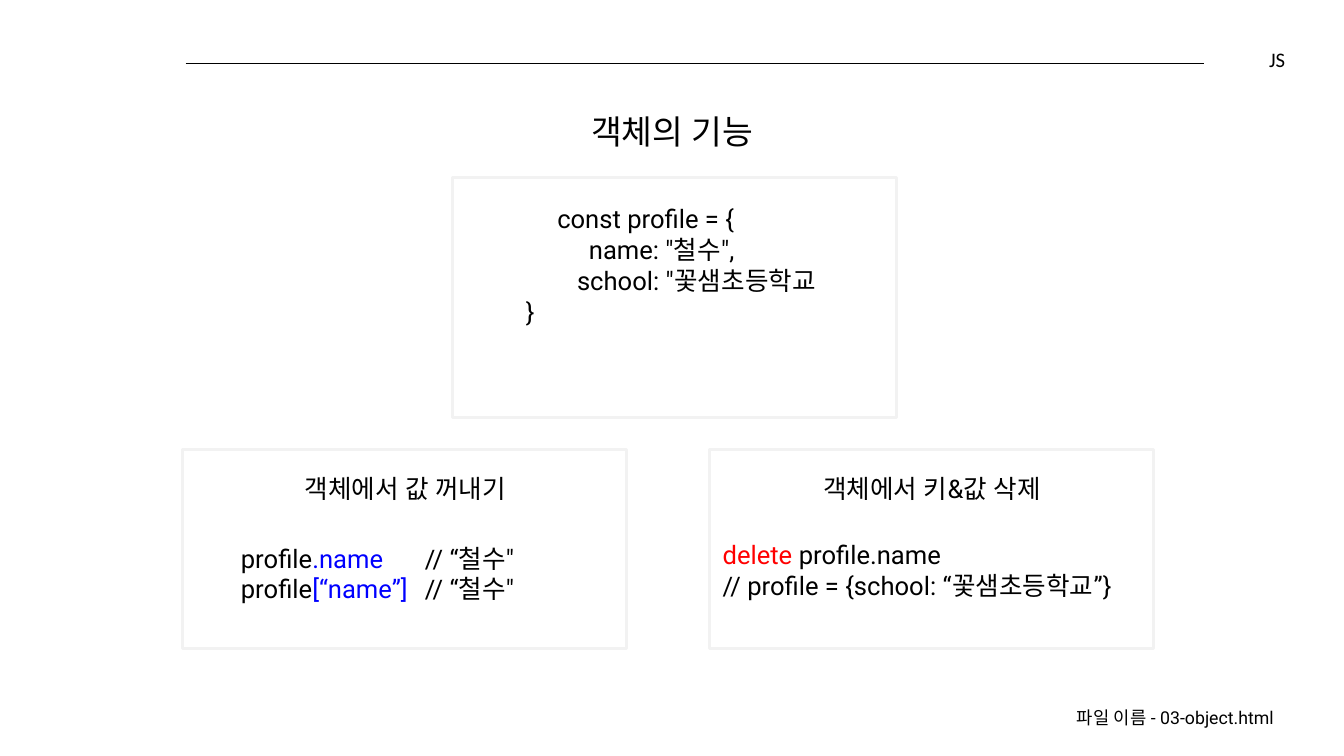
"""Builds the slide on what JavaScript objects can do."""
from dataclasses import dataclass

from lxml import etree
from pptx import Presentation
from pptx import util as u
from pptx.dml.color import RGBColor
from pptx.enum import shapes, text
from pptx.oxml import ns

BLACK = RGBColor(0x00, 0x00, 0x00)
BLUE = RGBColor(0x00, 0x00, 0xFF)
RED = RGBColor(0xFF, 0x00, 0x00)
PALE_GRAY = RGBColor(0xF2, 0xF2, 0xF2)
LEFT, CENTER, RIGHT = text.PP_ALIGN.LEFT, text.PP_ALIGN.CENTER, text.PP_ALIGN.RIGHT
INSET = 13.7


@dataclass(frozen=True)
class Phrase:
    wording: str
    color: RGBColor = BLACK


@dataclass(frozen=True)
class Line:
    phrases: tuple[Phrase, ...]
    align: text.PP_ALIGN = LEFT
    indent: float = 0
    tab: float = 0


@dataclass(frozen=True)
class Block:
    left: float
    top: float
    width: float
    height: float
    lines: tuple[Line, ...]
    size: float = 26


@dataclass(frozen=True)
class Frame:
    left: float
    top: float
    height: float
    width: float = 451.4


def plain(wording: str, align: text.PP_ALIGN = LEFT, indent: float = 0) -> Line:
    return Line((Phrase(wording),), align, indent)


def lookup(accessor: str) -> Line:
    return Line((Phrase("profile"), Phrase(accessor, BLUE), Phrase('\t// “철수"')), tab=187)


def panel_heading(left: float, wording: str) -> Block:
    return Block(left, 466.6, 296, 60.5, (plain(wording, CENTER),))


FRAMES = (
    Frame(459.4, 180, 244),
    Frame(185.8, 457.2, 202.3),
    Frame(720.7, 457.2, 202.3),
)

BLOCKS = (
    Block(997.2, 707, 311, 50.4, (plain("파일 이름 - 03-object.html", RIGHT),), 18),
    Block(271.4, 99.4, 823, 70.6, (plain("객체의 기능", CENTER),), 34),
    Block(244.8, 193, 823, 154.8, (
        plain("const profile = {", CENTER),
        plain('     name: "철수",', CENTER),
        plain('                school: "꽃샘초등학교', CENTER),
        plain("}", indent=276),
    )),
    panel_heading(264.2, "객체에서 값 꺼내기"),
    Block(231.1, 537.8, 361.4, 123.8, (lookup(".name"), lookup("[“name”]"))),
    panel_heading(799.2, "객체에서 키&값 삭제"),
    Block(720.7, 534.2, 463.7, 122.4, (
        Line((Phrase("delete ", RED), Phrase("profile.name"))),
        plain("// profile = {school: “꽃샘초등학교”}"),
    )),
)


def write_line(paragraph, line: Line, size: float) -> None:
    paragraph.alignment = line.align
    properties = paragraph._p.get_or_add_pPr()
    if line.indent:
        properties.set("marL", str(u.Pt(line.indent)))
    if line.tab:
        stops = etree.SubElement(properties, ns.qn("a:tabLst"))
        etree.SubElement(stops, ns.qn("a:tab"), pos=str(u.Pt(line.tab)), algn="l")
    font = paragraph.font
    font.size, font.name = u.Pt(size), "Roboto"
    font.color.rgb = BLACK
    etree.SubElement(font._rPr, ns.qn("a:ea"), typeface="Roboto")
    for phrase in line.phrases:
        run = paragraph.add_run()
        run.text = phrase.wording
        if phrase.color != BLACK:
            run.font.color.rgb = phrase.color


def draw_block(slide, block: Block) -> None:
    box = slide.shapes.add_textbox(
        u.Pt(block.left), u.Pt(block.top), u.Pt(block.width), u.Pt(block.height))
    body = box.text_frame
    body.word_wrap = True
    body.margin_left = body.margin_right = u.Pt(INSET)
    body.margin_top = body.margin_bottom = u.Pt(INSET)
    for index, line in enumerate(block.lines):
        paragraph = body.add_paragraph() if index else body.paragraphs[0]
        write_line(paragraph, line, block.size)


def draw_frame(slide, frame: Frame) -> None:
    outline = slide.shapes.add_shape(
        shapes.MSO_SHAPE.RECTANGLE, u.Pt(frame.left), u.Pt(frame.top),
        u.Pt(frame.width), u.Pt(frame.height))
    outline.shadow.inherit = False
    outline.fill.background()
    outline.line.color.rgb = PALE_GRAY
    outline.line.width = u.Pt(3)


def draw_header(slide) -> None:
    rule = slide.shapes.add_connector(
        shapes.MSO_CONNECTOR.STRAIGHT, u.Pt(188.6), u.Pt(64.8), u.Pt(1223.3), u.Pt(64.8))
    rule.line.color.rgb = BLACK
    rule.line.width = u.Pt(0.75)
    etree.SubElement(rule._element.spPr, ns.qn("a:effectLst"))

    subject = slide.shapes.title
    subject.left, subject.top = u.Pt(910.8), u.Pt(46)
    subject.width, subject.height = u.Pt(395.3), u.Pt(27.4)
    body = subject.text_frame
    body.text = "JS"
    body.margin_left = body.margin_right = body.margin_top = body.margin_bottom = 0
    body.vertical_anchor = text.MSO_ANCHOR.MIDDLE
    paragraph = body.paragraphs[0]
    paragraph.alignment = RIGHT
    paragraph.font.size, paragraph.font.name = u.Pt(21), "Calibri"
    paragraph.font.color.rgb = BLACK


def main() -> None:
    deck = Presentation()
    deck.slide_width, deck.slide_height = u.Pt(1365.84), u.Pt(768.24)
    slide = deck.slides.add_slide(deck.slide_layouts[5])
    draw_header(slide)
    for frame in FRAMES:
        draw_frame(slide, frame)
    for block in BLOCKS:
        draw_block(slide, block)
    deck.save("out.pptx")


if __name__ == "__main__":
    main()
